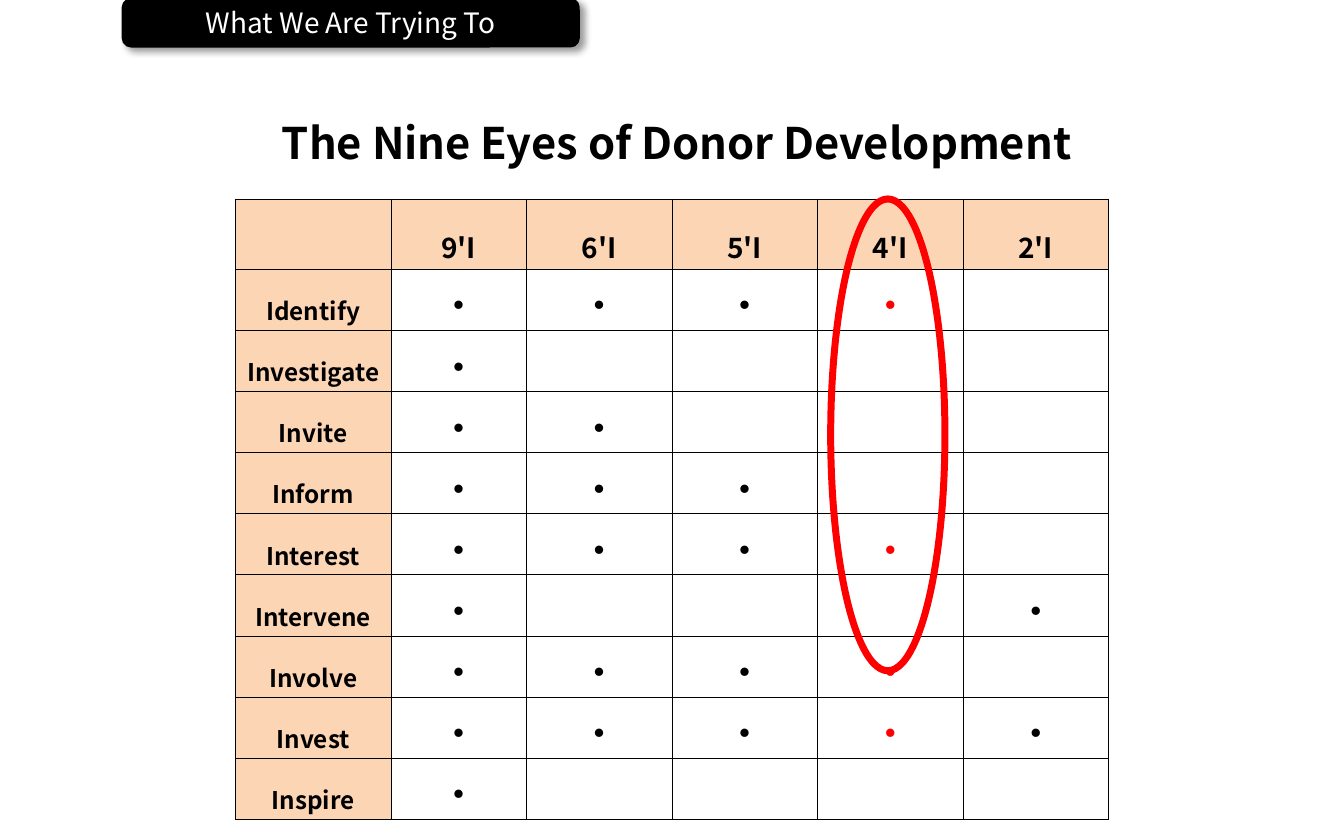
from lxml.etree import SubElement
from pptx import Presentation
from pptx.dml.color import RGBColor
from pptx.enum.shapes import MSO_SHAPE
from pptx.enum.text import MSO_ANCHOR, MSO_AUTO_SIZE, PP_ALIGN
from pptx.oxml import parse_xml
from pptx.oxml.ns import nsdecls, qn
from pptx.util import Pt

# Content
SECTION = "What We Are Trying To"
TITLE = "The Nine Eyes of Donor Development"
MODELS = ["9'I", "6'I", "5'I", "4'I", "2'I"]
STEPS = [
    ("Identify", ["9'I", "6'I", "5'I", "4'I"]),
    ("Investigate", ["9'I"]),
    ("Invite", ["9'I", "6'I"]),
    ("Inform", ["9'I", "6'I", "5'I"]),
    ("Interest", ["9'I", "6'I", "5'I", "4'I"]),
    ("Intervene", ["9'I", "2'I"]),
    ("Involve", ["9'I", "6'I", "5'I", "4'I"]),
    ("Invest", ["9'I", "6'I", "5'I", "4'I", "2'I"]),
    ("Inspire", ["9'I"]),
]
HIGHLIGHTED = "4'I"
DOT = "⚫"

# Look
BLACK = RGBColor(0x00, 0x00, 0x00)
WHITE = RGBColor(0xFF, 0xFF, 0xFF)
RED = RGBColor(0xFF, 0x00, 0x00)
PEACH = RGBColor(0xFC, 0xD5, 0xB5)
TEXT_FONT = "Noto Sans CJK KR"
DOT_FONT = "Arial"

# Table measures in points
COLUMN_WIDTHS = [83.5, 72.5] + [78] * 4
HEADER_HEIGHT, ROW_HEIGHT = 27.4, 24.4


def write(text_frame, text, size, color, bold=False, name=TEXT_FONT):
    text_frame.text = text
    paragraph = text_frame.paragraphs[0]
    paragraph.alignment = PP_ALIGN.CENTER
    font = paragraph.runs[0].font
    font.name, font.size, font.bold = name, Pt(size), bold
    font.color.rgb = color
    return paragraph


def add_borders(cell):
    properties = cell._tc.get_or_add_tcPr()
    for index, side in enumerate(("lnL", "lnR", "lnT", "lnB")):
        properties.insert(index, parse_xml(
            f'<a:{side} {nsdecls("a")} w="{Pt(0.28)}"><a:solidFill>'
            f'<a:srgbClr val="{BLACK}"/></a:solidFill></a:{side}>'))


def fill_cell(cell, text, size, color, shaded):
    if shaded:
        cell.fill.solid()
        cell.fill.fore_color.rgb = PEACH
    else:
        cell.fill.background()
    add_borders(cell)
    if not text:
        return
    cell.margin_left = cell.margin_right = Pt(4.3)
    cell.margin_top = cell.margin_bottom = Pt(1.4)
    cell.vertical_anchor = MSO_ANCHOR.TOP if shaded else MSO_ANCHOR.MIDDLE
    paragraph = write(cell.text_frame, text, size, color,
                      bold=shaded or color == RED,
                      name=TEXT_FONT if shaded else DOT_FONT)
    paragraph.line_spacing = 1.6


presentation = Presentation()
presentation.slide_width, presentation.slide_height = Pt(720), Pt(450)
slide = presentation.slides.add_slide(presentation.slide_layouts[5])

# Title
title = slide.shapes.title
title.left, title.top, title.width, title.height = Pt(81.4), Pt(48.2), Pt(562.3), Pt(55.4)
title.text_frame.auto_size = MSO_AUTO_SIZE.NONE
title.text_frame.vertical_anchor = MSO_ANCHOR.MIDDLE
write(title.text_frame, TITLE, 23.3, BLACK, bold=True)

# Table of steps against models
table = slide.shapes.add_table(
    len(STEPS) + 1, len(MODELS) + 1, Pt(126), Pt(106.6), Pt(sum(COLUMN_WIDTHS)),
    Pt(HEADER_HEIGHT + ROW_HEIGHT * len(STEPS))).table
table.first_row = table.horz_banding = False
for column, width in zip(table.columns, COLUMN_WIDTHS):
    column.width = Pt(width)
for index, row in enumerate(table.rows):
    row.height = Pt(ROW_HEIGHT if index else HEADER_HEIGHT)

for column, text in enumerate([""] + MODELS):
    fill_cell(table.cell(0, column), text, 15, BLACK, shaded=True)
for row, (step, used_by) in enumerate(STEPS, start=1):
    fill_cell(table.cell(row, 0), step, 13, BLACK, shaded=True)
    for column, model in enumerate(MODELS, start=1):
        fill_cell(table.cell(row, column), DOT if model in used_by else "", 8,
                  RED if model == HIGHLIGHTED else BLACK, shaded=False)

# Section label with a soft shadow
label = slide.shapes.add_shape(
    MSO_SHAPE.ROUNDED_RECTANGLE, Pt(66.2), Pt(0), Pt(243.4), Pt(24.5))
label.fill.solid()
label.fill.fore_color.rgb = BLACK
label.line.color.rgb = BLACK
label.line.width = Pt(2)
label.shadow.inherit = False
effects = label._element.spPr.find(qn("a:effectLst"))
shadow = SubElement(effects, qn("a:outerShdw"), blurRad=str(Pt(4)), dist=str(Pt(3)),
                    dir=str(45 * 60000), algn="tl", rotWithShape="0")
shadow_color = SubElement(shadow, qn("a:srgbClr"), val=str(BLACK))
SubElement(shadow_color, qn("a:alpha"), val="40000")
label.text_frame.vertical_anchor = MSO_ANCHOR.MIDDLE
write(label.text_frame, SECTION, 15, WHITE)

# Ring around the highlighted model
ring = slide.shapes.add_shape(MSO_SHAPE.OVAL, Pt(445), Pt(106.6), Pt(61.2), Pt(252.7))
ring.shadow.inherit = False
ring.fill.background()
ring.line.color.rgb = RED
ring.line.width = Pt(3.75)

presentation.save("out.pptx")
